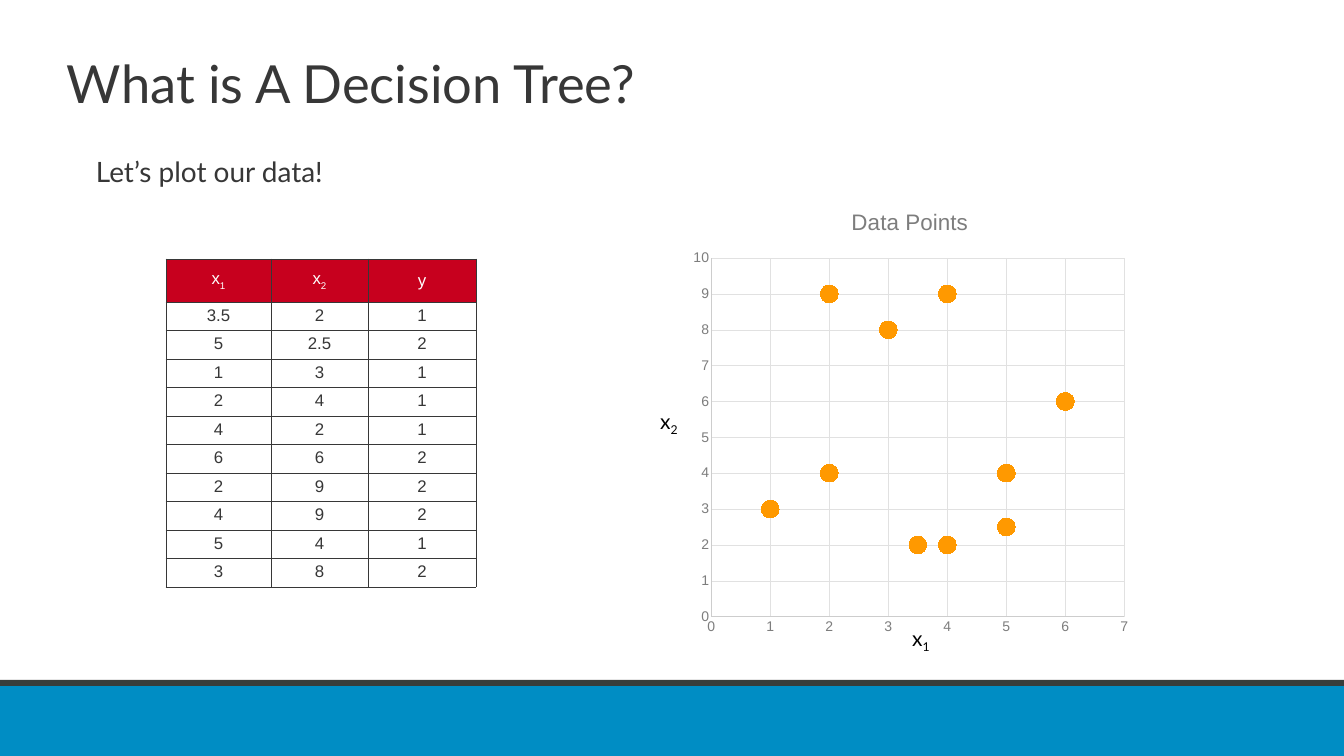
from lxml import etree
from pptx import Presentation
from pptx.chart.data import XyChartData
from pptx.dml.color import RGBColor
from pptx.enum.chart import XL_CHART_TYPE, XL_MARKER_STYLE, XL_TICK_MARK
from pptx.enum.shapes import MSO_SHAPE
from pptx.enum.text import MSO_ANCHOR, PP_ALIGN
from pptx.oxml import parse_xml
from pptx.oxml.ns import nsdecls, qn
from pptx.util import Pt

TITLE = "What is A Decision Tree?"
INTRO = "Let’s plot our data!"
HEADERS = [("x", "1"), ("x", "2"), ("y", "")]
ROWS = [
    (3.5, 2, 1), (5, 2.5, 2), (1, 3, 1), (2, 4, 1), (4, 2, 1),
    (6, 6, 2), (2, 9, 2), (4, 9, 2), (5, 4, 1), (3, 8, 2),
]
COLUMN_WIDTHS = [105, 97, 108]
HEADER_HEIGHT, BODY_HEIGHT = 43, 285
BARS = [((-2, 686, 1349, 70), "008DC4"), ((-2, 680, 1347, 6), "383D3B")]
AXIS_LABELS = [("x", "1", (895, 624, 52, 31)), ("x", "2", (643, 407, 52, 31))]
INK, RED, ORANGE, GREY = "373737", "C7001E", "FF9900", "7D7D7D"
AXIS_LINE, GRID_LINE = "CDCDCD", "E1E1E1"
SCALE = 914400 / 50.4


def px(value):
    return round(value * SCALE)


def rgb(value):
    return RGBColor.from_string(value)


def style(font, size, color, name):
    font.size, font.name = Pt(size), name
    font.color.rgb = rgb(color)


def write(frame, text, size, color, name, subscript="", align=PP_ALIGN.LEFT):
    para = frame.paragraphs[0]
    para.text, para.alignment = text, align
    if subscript:
        para.add_run().text = subscript
    for span in para.runs:
        style(span.font, size, color, name)
        span.font.bold = False
    if subscript:
        para.runs[1].font._element.set("baseline", "-25000")


def set_frame(frame, anchor):
    frame.word_wrap, frame.vertical_anchor = True, anchor
    frame.margin_left = frame.margin_right = px(3)
    frame.margin_top = frame.margin_bottom = px(3)


def add_text(place, anchor, *content, **options):
    frame = page.shapes.add_textbox(*map(px, place)).text_frame
    set_frame(frame, anchor)
    write(frame, *content, **options)


def add_borders(cell):
    properties = cell._tc.get_or_add_tcPr()
    for index, side in enumerate(("lnL", "lnR", "lnT", "lnB")):
        properties.insert(index, parse_xml(
            f'<a:{side} {nsdecls("a")} w="12700"><a:solidFill>'
            f'<a:srgbClr val="{INK}"/></a:solidFill></a:{side}>'))


def set_layout(parent, index, **values):
    for old in parent.findall(qn("c:layout")):
        parent.remove(old)
    layout = etree.Element(qn("c:layout"))
    manual = etree.SubElement(layout, qn("c:manualLayout"))
    for tag, value in values.items():
        etree.SubElement(manual, qn(f"c:{tag}")).set("val", str(value))
    parent.insert(index, layout)


def add_data_table():
    shape = page.shapes.add_table(
        len(ROWS) + 1, len(HEADERS), px(166), px(259),
        px(sum(COLUMN_WIDTHS)), px(HEADER_HEIGHT + BODY_HEIGHT))
    table = shape.table
    table.first_row = table.horz_banding = False
    for column, width in zip(table.columns, COLUMN_WIDTHS):
        column.width = px(width)
    for row in table.rows:
        row.height = px(BODY_HEIGHT / len(ROWS))
    table.rows[0].height = px(HEADER_HEIGHT)
    lines = [HEADERS] + [[(str(value), "") for value in row] for row in ROWS]
    for row, line in enumerate(lines):
        for column, (text, subscript) in enumerate(line):
            cell = table.cell(row, column)
            cell.margin_left = cell.margin_right = px(7)
            cell.margin_top = cell.margin_bottom = px(4)
            if row == 0:
                cell.vertical_anchor = MSO_ANCHOR.MIDDLE
                cell.fill.solid()
                cell.fill.fore_color.rgb = rgb(RED)
            else:
                cell.fill.background()
            write(cell.text_frame, text, 24, INK if row else "FFFFFF", "Arial",
                  subscript=subscript, align=PP_ALIGN.CENTER)
            add_borders(cell)


def add_scatter():
    data = XyChartData()
    points = data.add_series("Series 1")
    for x, y, label in sorted(ROWS, key=lambda row: row[2]):
        points.add_data_point(x, y)
    chart = page.shapes.add_chart(
        XL_CHART_TYPE.XY_SCATTER, px(684), px(190), px(454), px(454), data).chart
    chart.has_legend = False
    style(chart.font, 10, INK, "Arial")
    chart.has_title = True
    write(chart.chart_title.text_frame, "Data Points", 32, GREY, "Arial",
          align=PP_ALIGN.CENTER)
    set_layout(chart.chart_title._element, 1, xMode="edge", yMode="edge", x=0.36, y=0.03)
    set_layout(chart._chartSpace.chart.plotArea, 0, layoutTarget="inner",
               xMode="edge", yMode="edge", x=0.06, y=0.15, w=0.91, h=0.79)
    for axis, top in ((chart.category_axis, 7), (chart.value_axis, 10)):
        axis.minimum_scale, axis.maximum_scale, axis.major_unit = 0, top, 1
        axis.major_tick_mark = axis.minor_tick_mark = XL_TICK_MARK.NONE
        axis.has_major_gridlines = True
        style(axis.tick_labels.font, 20, GREY, "Arial")
        axis.tick_labels.number_format = "General"
        axis.tick_labels.number_format_is_linked = False
        for line, color in ((axis.format.line, AXIS_LINE),
                            (axis.major_gridlines.format.line, GRID_LINE)):
            line.color.rgb, line.width = rgb(color), Pt(0.75)
    chart.plots[0].vary_by_categories = False
    series = chart.plots[0].series[0]
    series.smooth = False
    series.format.line.fill.background()
    marker = series.marker
    marker.style, marker.size = XL_MARKER_STYLE.CIRCLE, 25
    marker.format.fill.solid()
    marker.format.fill.fore_color.rgb = rgb(ORANGE)
    marker.format.line.color.rgb = rgb(ORANGE)


deck = Presentation()
deck.slide_width, deck.slide_height = px(1344), px(756)
page = deck.slides.add_slide(deck.slide_layouts[5])

for place, color in BARS:
    bar = page.shapes.add_shape(MSO_SHAPE.RECTANGLE, *map(px, place))
    bar.shadow.inherit = False
    bar.fill.solid()
    bar.fill.fore_color.rgb = rgb(color)
    bar.line.fill.background()

title = page.shapes.title
title.left, title.top, title.width, title.height = map(px, (64, 20, 1249, 126))
set_frame(title.text_frame, MSO_ANCHOR.MIDDLE)
write(title.text_frame, TITLE, 75, INK, "Lato")

add_text((93, 152, 1158, 472), MSO_ANCHOR.TOP, INTRO, 40, INK, "Lato")
add_data_table()
add_scatter()
for letter, subscript, place in AXIS_LABELS:
    add_text(place, MSO_ANCHOR.MIDDLE, letter, 30, "000000", "Lato",
             subscript=subscript, align=PP_ALIGN.CENTER)

deck.save("out.pptx")
